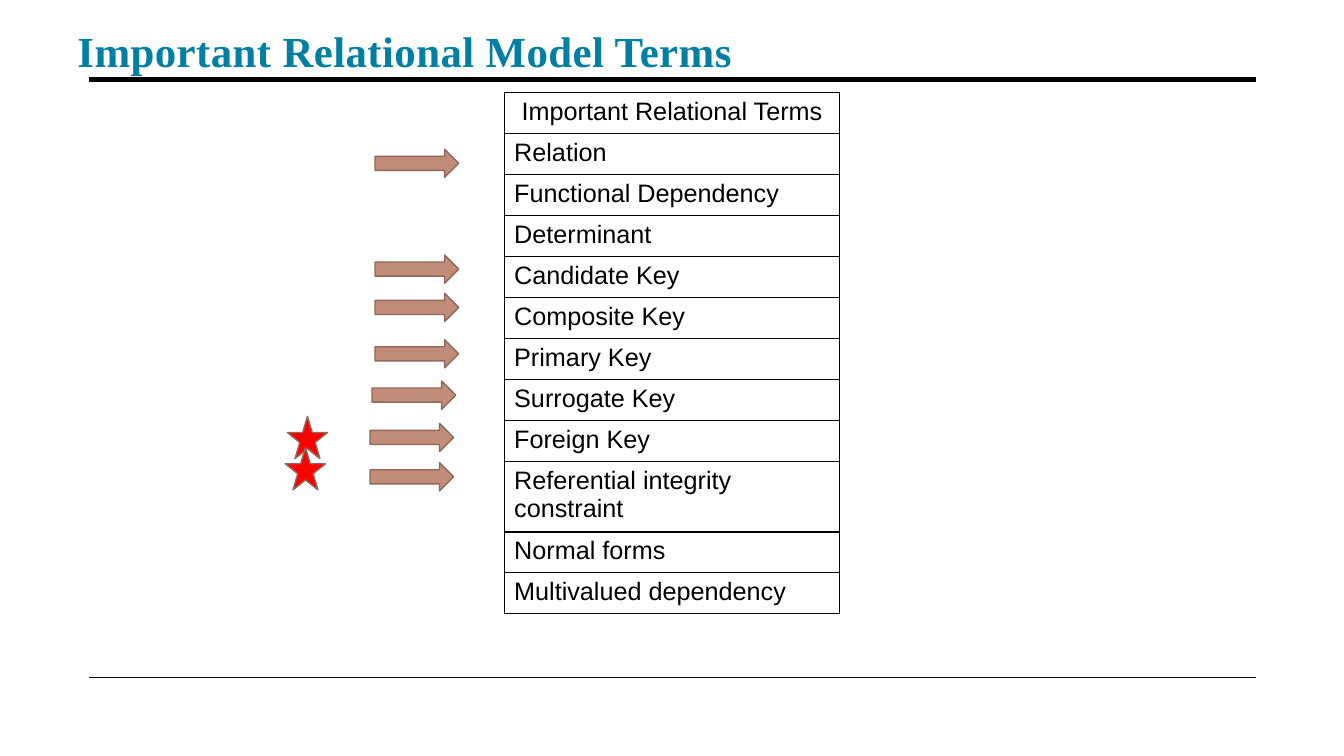
from lxml import etree
from pptx import Presentation
from pptx.dml.color import RGBColor
from pptx.enum import shapes, text
from pptx.oxml import ns
from pptx.util import Inches, Pt

TITLE = "Important Relational Model Terms"
HEADING = "Important Relational Terms"
TERMS = [
    "Relation",
    "Functional Dependency",
    "Determinant",
    "Candidate Key",
    "Composite Key",
    "Primary Key",
    "Surrogate Key",
    "Foreign Key",
    "Referential integrity constraint",
    "Normal forms",
    "Multivalued dependency",
]
ARROWS = [(3.72, 1.48), (3.72, 2.53), (3.72, 2.91), (3.72, 3.37),
          (3.69, 3.78), (3.67, 4.2), (3.67, 4.59)]
STARS = [(2.85, 4.13), (2.83, 4.44)]
RULES = [(0.79, 3.5), (6.72, 1)]
RULE_LEFT, RULE_RIGHT = 0.88, 12.46
TABLE_HEIGHT = 4.88

BLACK = RGBColor(0, 0, 0)
TEAL = RGBColor(0x00, 0x7F, 0xA3)
CLAY = RGBColor(0xC1, 0x8C, 0x78)
BROWN = RGBColor(0x8F, 0x68, 0x59)
RED = RGBColor(0xFF, 0, 0)


def write(frame, words, size=18, font="Arial", color=BLACK, bold=False,
          align=text.PP_ALIGN.LEFT, spacing=None):
    paragraph = frame.paragraphs[0]
    paragraph.alignment = align
    run = paragraph.add_run()
    run.text = words
    run.font.size = Pt(size)
    run.font.name = font
    run.font.bold = bold
    run.font.color.rgb = color
    if spacing:
        run.font._element.set("spc", str(int(spacing * 100)))


def add_rule(slide, top, weight):
    rule = slide.shapes.add_connector(
        shapes.MSO_CONNECTOR.STRAIGHT, Inches(RULE_LEFT), Inches(top),
        Inches(RULE_RIGHT), Inches(top))
    rule.line.color.rgb = BLACK
    rule.line.width = Pt(weight)
    etree.SubElement(rule._element.spPr, ns.qn("a:effectLst"))


def add_marker(slide, preset, place, size, fill):
    marker = slide.shapes.add_shape(
        preset, *(Inches(length) for length in place + size))
    marker.shadow.inherit = False
    marker.fill.solid()
    marker.fill.fore_color.rgb = fill
    marker.line.color.rgb = BROWN
    marker.line.width = Pt(1)


def add_borders(cell):
    properties = cell._tc.get_or_add_tcPr()
    for position, side in enumerate(("lnL", "lnR", "lnT", "lnB")):
        border = etree.Element(ns.qn("a:" + side), w=str(Pt(1)))
        ink = etree.SubElement(border, ns.qn("a:solidFill"))
        etree.SubElement(ink, ns.qn("a:srgbClr"), val=str(BLACK))
        properties.insert(position, border)


def add_terms(slide):
    rows = [HEADING] + TERMS
    terms = slide.shapes.add_table(
        len(rows), 1, Inches(5), Inches(0.92),
        Inches(3.33), Inches(TABLE_HEIGHT)).table
    terms.first_row = False
    terms.horz_banding = False
    for index, term in enumerate(rows):
        terms.rows[index].height = Inches(TABLE_HEIGHT / len(rows))
        cell = terms.cell(index, 0)
        cell.fill.background()
        add_borders(cell)
        align = text.PP_ALIGN.LEFT if index else text.PP_ALIGN.CENTER
        write(cell.text_frame, term, align=align)


def main():
    deck = Presentation()
    deck.slide_width, deck.slide_height = Inches(13.33), Inches(7.5)
    slide = deck.slides.add_slide(deck.slide_layouts[6])

    for top, weight in RULES:
        add_rule(slide, top, weight)

    title = slide.shapes.add_textbox(
        Inches(0.67), Inches(0.24), Inches(12), Inches(0.61)).text_frame
    title.word_wrap = True
    title.vertical_anchor = text.MSO_ANCHOR.BOTTOM
    title.margin_left = title.margin_right = Inches(0.1)
    title.margin_top = title.margin_bottom = Inches(0.1)
    write(title, TITLE, size=30.6, font="Times New Roman", color=TEAL,
          bold=True, spacing=0.3)

    add_terms(slide)
    for place in ARROWS:
        add_marker(slide, shapes.MSO_SHAPE.RIGHT_ARROW, place, (0.83, 0.28), CLAY)
    for place in STARS:
        add_marker(slide, shapes.MSO_SHAPE.STAR_5_POINT, place, (0.4, 0.42), RED)

    deck.save("out.pptx")


if __name__ == "__main__":
    main()
